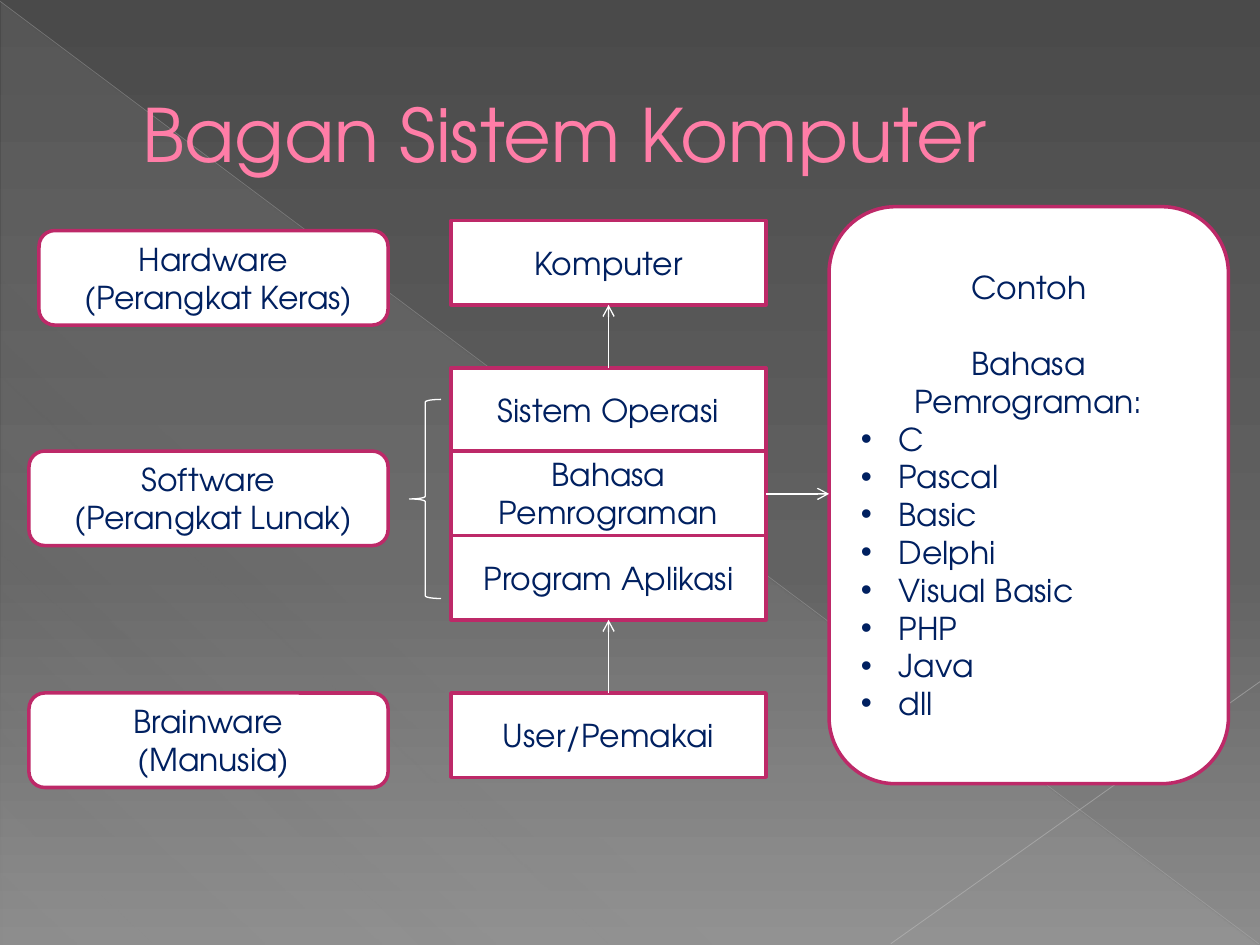
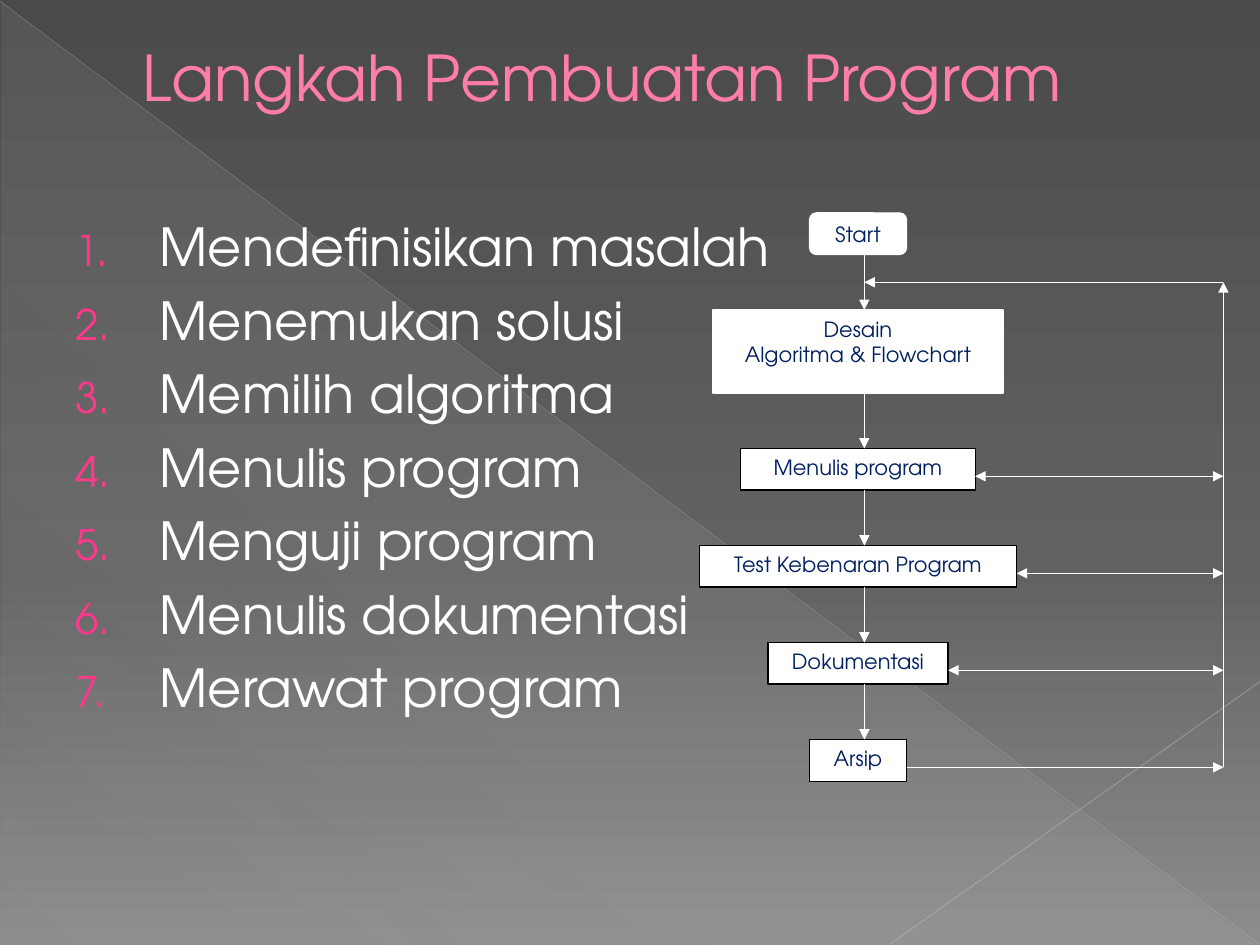
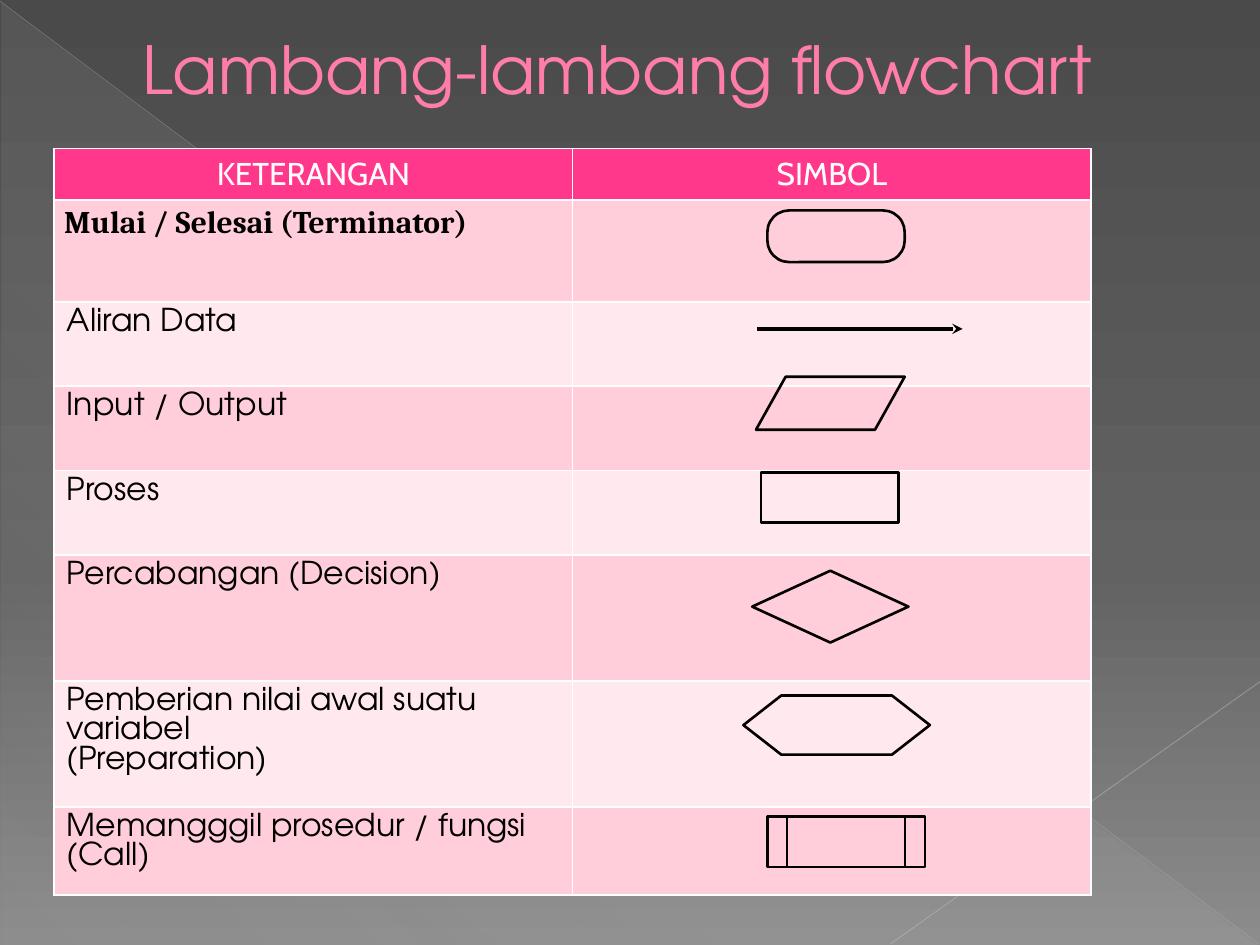
"""Build three slides on computer systems, programming steps and flowchart symbols."""
from lxml import etree
from pptx import Presentation
from pptx.dml.color import RGBColor
from pptx.enum import shapes, text
from pptx.oxml import ns
from pptx.util import Inches, Pt

WHITE = RGBColor(0xFF, 0xFF, 0xFF)
BLACK = RGBColor(0x00, 0x00, 0x00)
NAVY = RGBColor(0x00, 0x20, 0x60)
PINK = RGBColor(0xFF, 0x7D, 0xA7)
HOT_PINK = RGBColor(0xFF, 0x38, 0x8C)
MAGENTA = RGBColor(0xBD, 0x29, 0x68)
TITLE_EDGE = RGBColor(0xB1, 0x27, 0x61)
ROW_DARK = RGBColor(0xFF, 0xCE, 0xDA)
ROW_LIGHT = RGBColor(0xFF, 0xE8, 0xEE)
SILVER = RGBColor(0xD2, 0xD2, 0xD2)
DIAGONAL_GREY = RGBColor(0xBF, 0xBF, 0xBF)
CORNER_GREY = RGBColor(0xC6, 0xC6, 0xC6)
BACKDROP = [(0, RGBColor(0x4A, 0x4A, 0x4A), 100),
            (60, RGBColor(0x62, 0x62, 0x62), 100),
            (100, RGBColor(0x8C, 0x8C, 0x8C), 100)]
SHEEN = [(0, SILVER, 10), (70, SILVER, 8), (100, SILVER, 1)]

FONT = "TeX Gyre Adventor"
SHAPE = shapes.MSO_SHAPE
CENTER = text.PP_ALIGN.CENTER
LEFT = text.PP_ALIGN.LEFT
MIDDLE = text.MSO_ANCHOR.MIDDLE
TOP = text.MSO_ANCHOR.TOP


def sub(parent, tag, **attributes):
    """Append a DrawingML element."""
    return etree.SubElement(parent, ns.qn(tag), {k: str(v) for k, v in attributes.items()})


def add_color(parent, color, opacity=100):
    """Append an RGB colour with its opacity in percent."""
    clr = sub(parent, "a:srgbClr", val=color)
    if opacity < 100:
        sub(clr, "a:alpha", val=opacity * 1000)


def set_gradient(fill, owner, stops, angle):
    """Give a fill a linear gradient with any number of stops."""
    fill.gradient()
    gradient = owner.find(".//" + ns.qn("a:gradFill"))
    for child in list(gradient):
        gradient.remove(child)
    stop_list = sub(gradient, "a:gsLst")
    for position, color, opacity in stops:
        add_color(sub(stop_list, "a:gs", pos=position * 1000), color, opacity)
    sub(gradient, "a:lin", ang=angle * 60000, scaled=0)


def set_indent(paragraph, left, first=0):
    """Set the left margin and first-line indent in inches."""
    props = paragraph._p.get_or_add_pPr()
    props.set("marL", str(Inches(left)))
    props.set("indent", str(Inches(first)))
    return props


def add_run(paragraph, words, size, color, font=FONT, bold=False):
    """Add one formatted run."""
    run = paragraph.add_run()
    run.text = words
    run.font.size, run.font.name, run.font.bold = Pt(size), font, bold
    run.font.color.rgb = color
    return run


def paragraphs(frame, count):
    """Return the given number of paragraphs of an empty frame."""
    return [frame.paragraphs[0]] + [frame.add_paragraph() for _ in range(count - 1)]


def add_title(slide, words, top, height, size):
    """Place and format the title placeholder."""
    title = slide.shapes.title
    title.left, title.top = Inches(0.5), Inches(top)
    title.width, title.height = Inches(9), Inches(height)
    frame = title.text_frame
    frame.auto_size = text.MSO_AUTO_SIZE.NONE
    frame.vertical_anchor = MIDDLE
    paragraph = frame.paragraphs[0]
    paragraph.alignment = LEFT
    set_indent(paragraph, 0.53)
    run = add_run(paragraph, words, size, PINK)
    edge = etree.Element(ns.qn("a:ln"), w=str(Pt(0.5)))
    add_color(sub(edge, "a:solidFill"), TITLE_EDGE)
    run._r.get_or_add_rPr().insert(0, edge)


def add_outline(slide, kind, box, color, width, fill=None):
    """Add a preset shape, filled or open, with a plain outline."""
    shape = slide.shapes.add_shape(kind, *map(Inches, box))
    shape.shadow.inherit = False
    if fill is None:
        shape.fill.background()
    else:
        shape.fill.solid()
        shape.fill.fore_color.rgb = fill
    shape.line.color.rgb = color
    shape.line.width = Pt(width)
    return shape


def add_box(slide, kind, box, lines, size=18, edge=MAGENTA, width=2, anchor=MIDDLE):
    """Add a white box with centred lines of text."""
    shape = add_outline(slide, kind, box, edge, width, WHITE)
    frame = shape.text_frame
    frame.word_wrap = True
    frame.vertical_anchor = anchor
    for paragraph, line in zip(paragraphs(frame, len(lines)), lines):
        paragraph.alignment = CENTER
        add_run(paragraph, line, size, NAVY)
    return shape


def add_line(slide, start, end, color=WHITE, width=0.75, head=None, opacity=100):
    """Add a straight line, with an arrowhead at its end if one is named."""
    line = slide.shapes.add_connector(
        shapes.MSO_CONNECTOR.STRAIGHT, *map(Inches, (*start, *end)))
    line.line.color.rgb = color
    line.line.width = Pt(width)
    props = line.element.spPr
    stroke = props.find(ns.qn("a:ln"))
    if opacity < 100:
        sub(stroke.find(".//" + ns.qn("a:srgbClr")), "a:alpha", val=opacity * 1000)
    if head:
        sub(stroke, "a:tailEnd", type=head)
    sub(props, "a:effectLst")
    return line


def add_backdrop(prs, slide):
    """Put the gradient, the sheen and the diagonals on the slide master."""
    master = prs.slide_master
    set_gradient(master.background.fill, master.element, BACKDROP, 90)
    sheen = slide.shapes.add_shape(
        SHAPE.RIGHT_TRIANGLE, *map(Inches, (0.01, 0.02, 9.98, 7.48)))
    sheen.shadow.inherit = False
    set_gradient(sheen.fill, sheen.element, SHEEN, 133)
    sheen.line.fill.background()
    diagonal = add_line(slide, (0, 0.01), (9.99, 7.49), DIAGONAL_GREY, 0.39, opacity=35)
    corner = add_line(slide, (10, 5.41), (7.07, 7.49), CORNER_GREY, 0.47, opacity=45)
    for number, part in enumerate((sheen, diagonal, corner), 101):
        part.element.find(".//" + ns.qn("p:cNvPr")).set("id", str(number))
        master.shapes.element.append(part.element)


def build_system(slide):
    """Chart hardware, software and brainware with sample languages."""
    add_title(slide, "Bagan Sistem Komputer", 0.29, 1.53, 42)
    for left, top, lines in (
            (0.31, 1.83, ("Hardware", "(Perangkat Keras)")),
            (0.23, 3.58, ("Software", "(Perangkat Lunak)")),
            (0.23, 5.5, ("Brainware", "(Manusia)"))):
        group = add_box(slide, SHAPE.ROUNDED_RECTANGLE,
                        (left, top, 3.08 - left, 0.75), lines)
        set_indent(group.text_frame.paragraphs[1], 0.08)
    for top, layer in ((1.75, "Komputer"), (2.92, "Sistem Operasi"),
                       (3.58, "Bahasa Pemrograman"), (4.25, "Program Aplikasi"),
                       (5.5, "User/Pemakai")):
        add_box(slide, SHAPE.RECTANGLE, (3.58, top, 2.5, 0.67), [layer])

    languages = ("C", "Pascal", "Basic", "Delphi", "Visual Basic", "PHP", "Java", "dll")
    examples = add_box(slide, SHAPE.ROUNDED_RECTANGLE, (6.58, 1.64, 3.17, 4.58),
                       ("Contoh", "Bahasa Pemrograman:"))
    frame = examples.text_frame
    frame.paragraphs[1].space_before = Pt(21.6)
    for language in languages:
        item = frame.add_paragraph()
        item.alignment = LEFT
        props = set_indent(item, 0.3, -0.3)
        sub(props, "a:buFont", typeface="Arial")
        sub(props, "a:buChar", char="•")
        add_run(item, language, 18, NAVY)

    add_outline(slide, SHAPE.LEFT_BRACE, (3.25, 3.17, 0.25, 1.58), WHITE, 0.75)
    for start, end in (((6.08, 3.92), (6.58, 3.92)), ((4.83, 5.5), (4.83, 4.92)),
                       ((4.83, 2.92), (4.83, 2.42))):
        add_line(slide, start, end, head="arrow")


def add_steps(slide, steps):
    """Add the numbered list of steps."""
    frame = slide.shapes.add_textbox(*map(Inches, (0.5, 1.65, 9, 5.53))).text_frame
    frame.word_wrap = True
    for index, (paragraph, step) in enumerate(zip(paragraphs(frame, len(steps)), steps)):
        props = set_indent(paragraph, 0.67, -0.67)
        add_color(sub(props, "a:buClr"), HOT_PINK)
        sub(props, "a:buSzPct", val=80000)
        sub(props, "a:buAutoNum", type="arabicPeriod")
        if index:
            paragraph.space_before = Pt(6)
        add_run(paragraph, step, 30, WHITE)


def build_steps(slide):
    """List the programming steps beside their flow."""
    add_title(slide, "Langkah Pembuatan Program", 0.3, 0.61, 36)
    add_steps(slide, ("Mendefinisikan masalah", "Menemukan solusi", "Memilih algoritma",
                      "Menulis program", "Menguji program", "Menulis dokumentasi",
                      "Merawat program"))
    middle, flow_x, return_x, gap, line_height = 6.81, 6.86, 9.71, 0.44, 0.33
    process = SHAPE.FLOWCHART_PROCESS
    stages = ((SHAPE.FLOWCHART_ALTERNATE_PROCESS, 0.77, WHITE, ["Start"]),
              (process, 2.3, WHITE, ["Desain", "Algoritma & Flowchart"]),
              (process, 1.86, BLACK, ["Menulis program"]),
              (process, 2.52, BLACK, ["Test Kebenaran Program"]),
              (process, 1.43, BLACK, ["Dokumentasi"]),
              (process, 0.77, BLACK, ["Arsip"]))
    top = 1.69
    for index, (kind, width, edge, lines) in enumerate(stages):
        height, right = line_height * len(lines), middle + width / 2
        add_box(slide, kind, (middle - width / 2, top, width, height), lines,
                size=12, edge=edge, width=0.75, anchor=TOP)
        if index:
            add_line(slide, (flow_x, top - gap), (flow_x, top), head="triangle")
        branch_y = top + 0.22
        if 2 <= index <= 4:
            for end in (right, return_x):
                add_line(slide, ((right + return_x) / 2, branch_y), (end, branch_y),
                         head="triangle")
        top += height + gap
    loop = ((right, branch_y), (return_x, branch_y), (return_x, 2.24), (flow_x, 2.24))
    for start, end in zip(loop, loop[1:]):
        add_line(slide, start, end, head="triangle")


def format_cell(cell, fill):
    """Give a cell its fill and thin white borders."""
    props = cell._tc.get_or_add_tcPr()
    for side in ("L", "R", "T", "B"):
        border = sub(props, "a:ln" + side, w=Pt(1))
        add_color(sub(border, "a:solidFill"), WHITE)
    cell.fill.solid()
    cell.fill.fore_color.rgb = fill


def add_legend(slide):
    """Add the table of symbol descriptions."""
    rows = ((0.4, ["KETERANGAN"]), (0.81, ["Mulai / Selesai (Terminator)"]),
            (0.67, ["Aliran Data"]), (0.67, ["Input / Output"]), (0.67, ["Proses"]),
            (1, ["Percabangan (Decision)"]),
            (1, ["Pemberian nilai awal suatu variabel", "(Preparation)"]),
            (0.7, ["Memangggil prosedur / fungsi (Call)"]))
    legend = slide.shapes.add_table(
        len(rows), 2, *map(Inches, (0.43, 1.18, 8.23, 5.92))).table
    for index, (height, lines) in enumerate(rows):
        legend.rows[index].height = Inches(height)
        fill = HOT_PINK if index == 0 else ROW_DARK if index % 2 else ROW_LIGHT
        for cell in legend.rows[index].cells:
            format_cell(cell, fill)
        if index == 0:
            continue
        cell = legend.cell(index, 0)
        terminator = index == 1
        if terminator:
            cell.margin_left = cell.margin_right = Inches(0.08)
            cell.margin_top = cell.margin_bottom = 0
            cell.text_frame.paragraphs[0].line_spacing = 1.15
        for paragraph, line in zip(paragraphs(cell.text_frame, len(lines)), lines):
            add_run(paragraph, line, 18, BLACK,
                    "Cambria" if terminator else FONT, terminator)
    for cell, heading in zip(legend.rows[0].cells, ("KETERANGAN", "SIMBOL")):
        paragraph = cell.text_frame.paragraphs[0]
        paragraph.alignment = CENTER
        add_run(paragraph, heading, 18, WHITE, "Cabin")


def build_symbols(slide):
    """Show the flowchart symbols in a table."""
    add_title(slide, "Lambang-lambang flowchart", 0.3, 0.48, 37.8)
    add_legend(slide)
    for kind, box, adjustment in (
            (SHAPE.ROUNDED_RECTANGLE, (6.09, 1.67, 1.09, 0.41), 0.42),
            (SHAPE.PARALLELOGRAM, (6, 2.99, 1.18, 0.42), 0.56),
            (SHAPE.RECTANGLE, (6.04, 3.75, 1.09, 0.4), None),
            (SHAPE.DIAMOND, (5.97, 4.53, 1.24, 0.57), None),
            (SHAPE.HEXAGON, (5.9, 5.52, 1.48, 0.47), 0.64),
            (SHAPE.FLOWCHART_PREDEFINED_PROCESS, (6.09, 6.48, 1.25, 0.4), None)):
        symbol = add_outline(slide, kind, box, BLACK, 1.5)
        if adjustment:
            symbol.adjustments[0] = adjustment
    add_line(slide, (6.01, 2.61), (7.64, 2.61), BLACK, 2, head="stealth")


def main():
    """Build and save the presentation."""
    prs = Presentation()
    prs.slide_width, prs.slide_height = Inches(10), Inches(7.5)
    title_only = prs.slide_layouts[5]
    for index, build in enumerate((build_system, build_steps, build_symbols)):
        slide = prs.slides.add_slide(title_only)
        if index == 0:
            add_backdrop(prs, slide)
        build(slide)
    prs.save("out.pptx")


if __name__ == "__main__":
    main()
